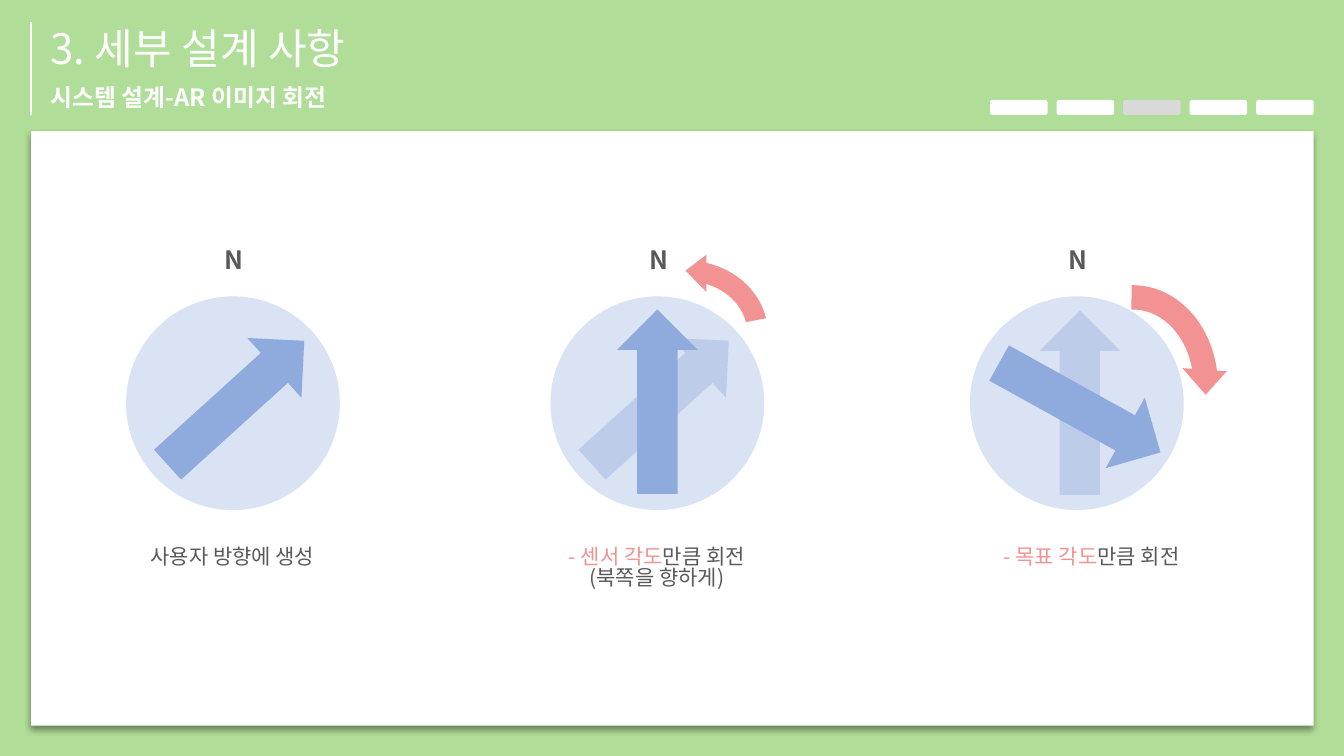
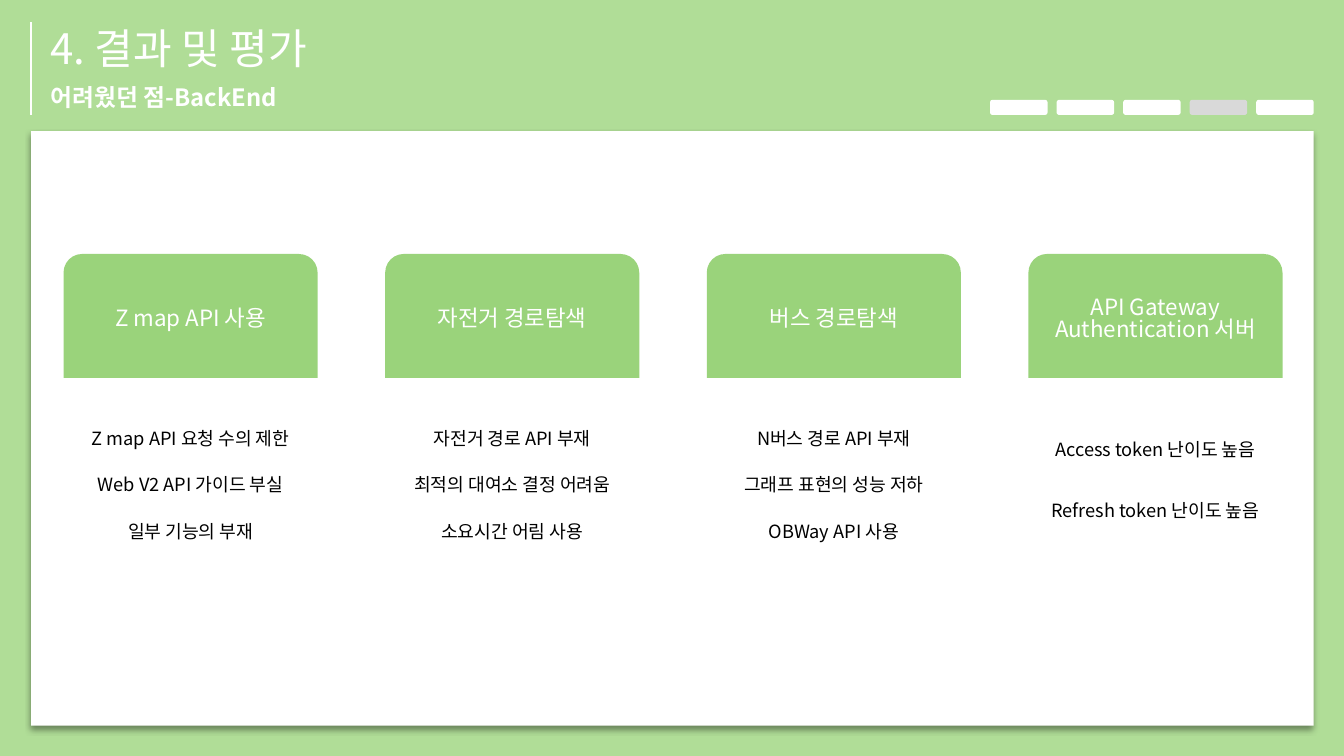
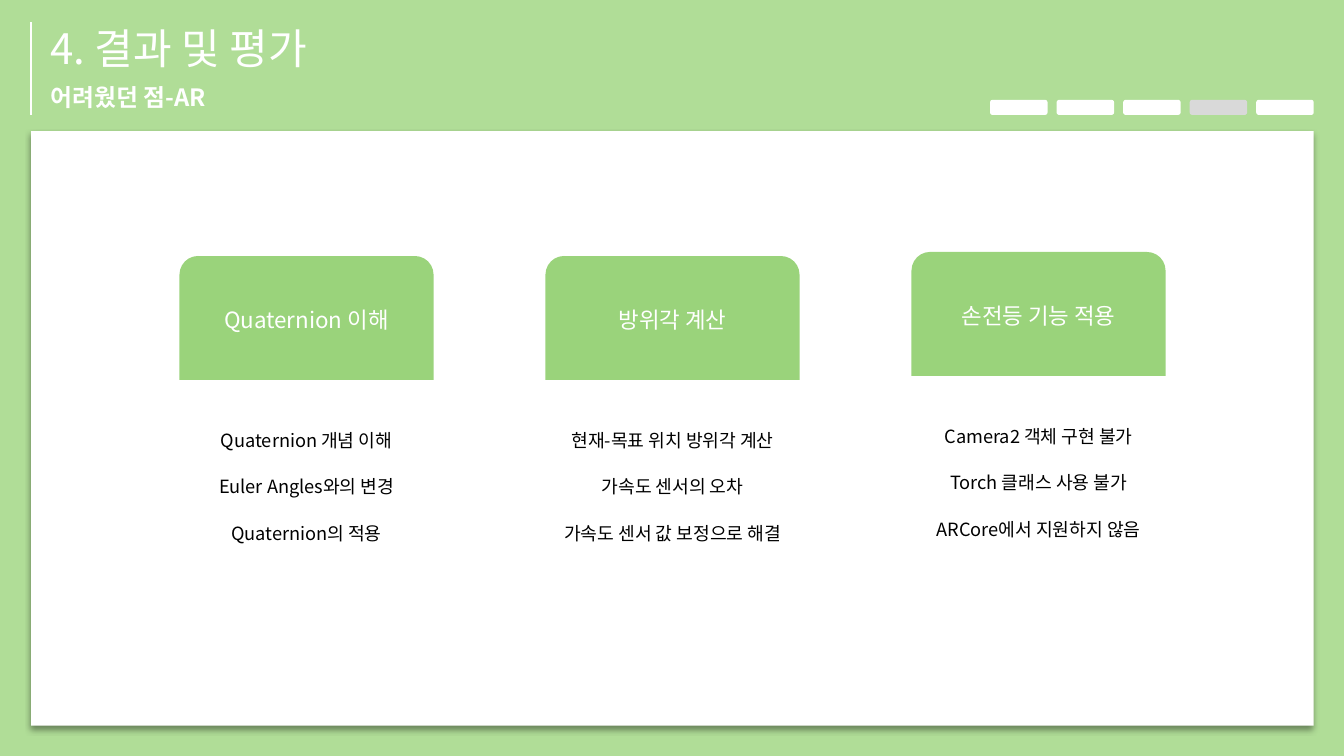
"""Build three slides of a green project deck."""
import dataclasses

import lxml.etree
import pptx
import pptx.dml.color
import pptx.enum.shapes
import pptx.enum.text
import pptx.oxml.ns
import pptx.util

Inches = pptx.util.Inches
Pt = pptx.util.Pt
Form = pptx.enum.shapes.MSO_SHAPE
Align = pptx.enum.text.PP_ALIGN
Anchor = pptx.enum.text.MSO_ANCHOR
qn = pptx.oxml.ns.qn


@dataclasses.dataclass(frozen=True)
class Theme:
    font: str = "Noto Sans CJK KR"
    green: str = "B0DD97"
    card: str = "9AD37B"
    white: str = "FFFFFF"
    black: str = "000000"
    mark: str = "D9D9D9"
    dial: str = "DAE3F3"
    blue: str = "8FAADC"
    pink: str = "F29292"
    gray: str = "595959"
    title: int = 30
    north: int = 18
    sub: int = 17
    head: int = 16
    note: int = 15
    body: int = 13
    pitch: float = 0.82
    drop: float = 0.1


def rgb(code):
    return pptx.dml.color.RGBColor.from_string(code)


def style(target, values):
    for name, value in values.items():
        setattr(target, name, value)


def sub(parent, tag, **values):
    node = lxml.etree.SubElement(parent, qn(tag))
    for name, value in values.items():
        node.set(name, str(value))
    return node


class Deck:
    def __init__(self, theme):
        self.theme = theme
        self.prs = pptx.Presentation()
        style(self.prs, {"slide_width": Inches(13.33), "slide_height": Inches(7.5)})
        fill = self.prs.slide_master.background.fill
        fill.solid()
        fill.fore_color.rgb = rgb(theme.green)
        self.slide = None

    def begin(self, title, topic, step):
        t = self.theme
        self.slide = self.prs.slides.add_slide(self.prs.slide_layouts[5])
        panel = self.shape(Form.RECTANGLE, (0.31, 1.3, 12.72, 5.9), t.white)
        self.shade(panel)
        head = self.slide.shapes.title
        self.place(head, (0.4, 0.22, 12.63, 0.61))
        self.label(head, [[(title, t.white)]], t.title, Align.LEFT)
        self.line((0.31, 0.22), (0.31, 1.14))
        self.text((0.4, 0.8, 12.63, 0.39), [[(topic, t.white)]], t.sub, Align.LEFT, True)
        for i in range(5):
            color = t.mark if i == step else t.white
            self.shape(Form.ROUNDED_RECTANGLE, (9.82 + 0.66 * i, 0.99, 0.57, 0.15), color)

    def place(self, item, box):
        names = ("left", "top", "width", "height")
        style(item, dict(zip(names, map(Inches, box))))

    def shape(self, form, box, color, turn=0, alpha=None, adjust=(), flip=""):
        item = self.slide.shapes.add_shape(form, *map(Inches, box))
        item.shadow.inherit = False
        item.fill.solid()
        item.fill.fore_color.rgb = rgb(color)
        item.line.fill.background()
        item.rotation = turn
        for i, value in enumerate(adjust):
            item.adjustments[i] = value
        props = item._element.spPr
        for axis in flip:
            props.find(qn("a:xfrm")).set("flip" + axis, "1")
        if alpha:
            tint = props.find(qn("a:solidFill"))[0]
            sub(tint, "a:alpha", val=alpha * 1000)
        return item

    def shade(self, item):
        effect = item._element.spPr.find(qn("a:effectLst"))
        shadow = sub(effect, "a:outerShdw", blurRad=Pt(4), dist=Pt(3),
                     dir=5400000, algn="t", rotWithShape=0)
        tint = sub(shadow, "a:srgbClr", val=self.theme.black)
        sub(tint, "a:alpha", val=40000)

    def line(self, start, end):
        kind = pptx.enum.shapes.MSO_CONNECTOR.STRAIGHT
        item = self.slide.shapes.add_connector(kind, *map(Inches, start + end))
        item.line.color.rgb = rgb(self.theme.white)
        item.line.width = Pt(1.5)
        sub(item._element.spPr, "a:effectLst")

    def text(self, box, rows, size, align=Align.CENTER, bold=False):
        item = self.slide.shapes.add_textbox(*map(Inches, box))
        self.label(item, rows, size, align, bold)

    def label(self, item, rows, size, align=Align.CENTER, bold=False, anchor=Anchor.TOP):
        t = self.theme
        frame = item.text_frame
        style(frame, {
            "word_wrap": True,
            "auto_size": pptx.enum.text.MSO_AUTO_SIZE.NONE,
            "vertical_anchor": anchor,
            "margin_top": Inches(0.05) + Pt(size * t.drop),
        })
        for i, row in enumerate(rows):
            para = frame.paragraphs[0] if i == 0 else frame.add_paragraph()
            style(para, {"alignment": align, "line_spacing": t.pitch})
            for words, color in row:
                run = para.add_run()
                run.text = words
                style(run.font, {"name": t.font, "size": Pt(size), "bold": bold})
                run.font.color.rgb = rgb(color)
                sub(run._r.get_or_add_rPr(), "a:ea", typeface=t.font)

    def arrow(self, left, top, turn, alpha=None):
        self.shape(Form.DOWN_ARROW, (left, top, 0.8, 1.83), self.theme.blue, turn, alpha)

    def curve(self, box, turn, flip, start):
        adjust = (0.125, 11.423, 204.577, start, 0.114)
        self.shape(Form.CIRCULAR_ARROW, box, self.theme.pink, turn, None, adjust, flip)

    def dial(self, left, rows, shift=-0.09, ghost=None):
        t = self.theme
        self.shape(Form.OVAL, (left, 2.94, 2.12, 2.12), t.dial)
        if ghost:
            self.arrow(left + 0.69, 3.08, ghost, 40)
        self.text((left + 0.88, 2.4, 0.41, 0.4), [[("N", t.gray)]], t.north, Align.LEFT, True)
        self.text((left + shift, 5.37, 2.29, 0.61), rows, t.note)

    def card(self, left, top, heads, lines, start=1.69, step=0.46, wide=None):
        t = self.theme
        item = self.shape(Form.ROUND_2_SAME_RECTANGLE, (left, top, 2.52, 1.23), t.card,
                          adjust=(0.15, 0))
        self.label(item, [[(head, t.white)] for head in heads], t.head, anchor=Anchor.MIDDLE)
        for i, words in enumerate(lines):
            width = 2.39 if i == wide else 2.27
            box = (left + (2.52 - width) / 2, top + start + step * i, width, 0.32)
            self.text(box, [[(words, t.black)]], t.body)


def main():
    t = Theme()
    deck = Deck(t)

    deck.begin("3. 세부 설계 사항", "시스템 설계-AR 이미지 회전", 2)
    deck.dial(1.25, [[("사용자 방향에 생성", t.gray)]])
    deck.arrow(1.94, 3.08, 227.8)
    deck.dial(5.46, [[("- 센서 각도", t.pink), ("만큼 회전", t.gray)],
                     [("(북쪽을 향하게)", t.gray)]], ghost=227.8)
    deck.arrow(6.12, 3.07, 180)
    deck.curve((5.99, 2.41, 1.62, 1.8), 90, "H", 168.508)
    deck.dial(9.62, [[("- 목표 각도", t.pink), ("만큼 회전", t.gray)]], 0.06, 180)
    deck.arrow(10.31, 3.13, 299)
    deck.curve((10.25, 2.73, 1.93, 2.27), 184, "HV", 159.911)

    deck.begin("4. 결과 및 평가", "어려웠던 점-BackEnd", 3)
    cards = [
        (["Z map API 사용"],
         ["Z map API 요청 수의 제한", "Web V2 API 가이드 부실", "일부 기능의 부재"]),
        (["자전거 경로탐색"],
         ["자전거 경로 API 부재", "최적의 대여소 결정 어려움", "소요시간 어림 사용"]),
        (["버스 경로탐색"],
         ["N버스 경로 API 부재", "그래프 표현의 성능 저하", "OBWay API 사용"]),
        (["API Gateway", "Authentication 서버"],
         ["Access token 난이도 높음", "Refresh token 난이도 높음"], 1.8, 0.6),
    ]
    for i, card in enumerate(cards):
        deck.card(0.63 + 3.19 * i, 2.52, *card)

    deck.begin("4. 결과 및 평가", "어려웠던 점-AR", 3)
    cards = [
        (2.54, ["Quaternion 이해"],
         ["Quaternion 개념 이해", "Euler Angles와의 변경", "Quaternion의 적용"]),
        (2.54, ["방위각 계산"],
         ["현재-목표 위치 방위각 계산", "가속도 센서의 오차", "가속도 센서 값 보정으로 해결"],
         1.69, 0.46, 2),
        (2.5, ["손전등 기능 적용"],
         ["Camera2 객체 구현 불가", "Torch 클래스 사용 불가", "ARCore에서 지원하지 않음"]),
    ]
    for i, card in enumerate(cards):
        deck.card(1.78 + 3.63 * i, *card)

    deck.prs.save("out.pptx")


if __name__ == "__main__":
    main()
